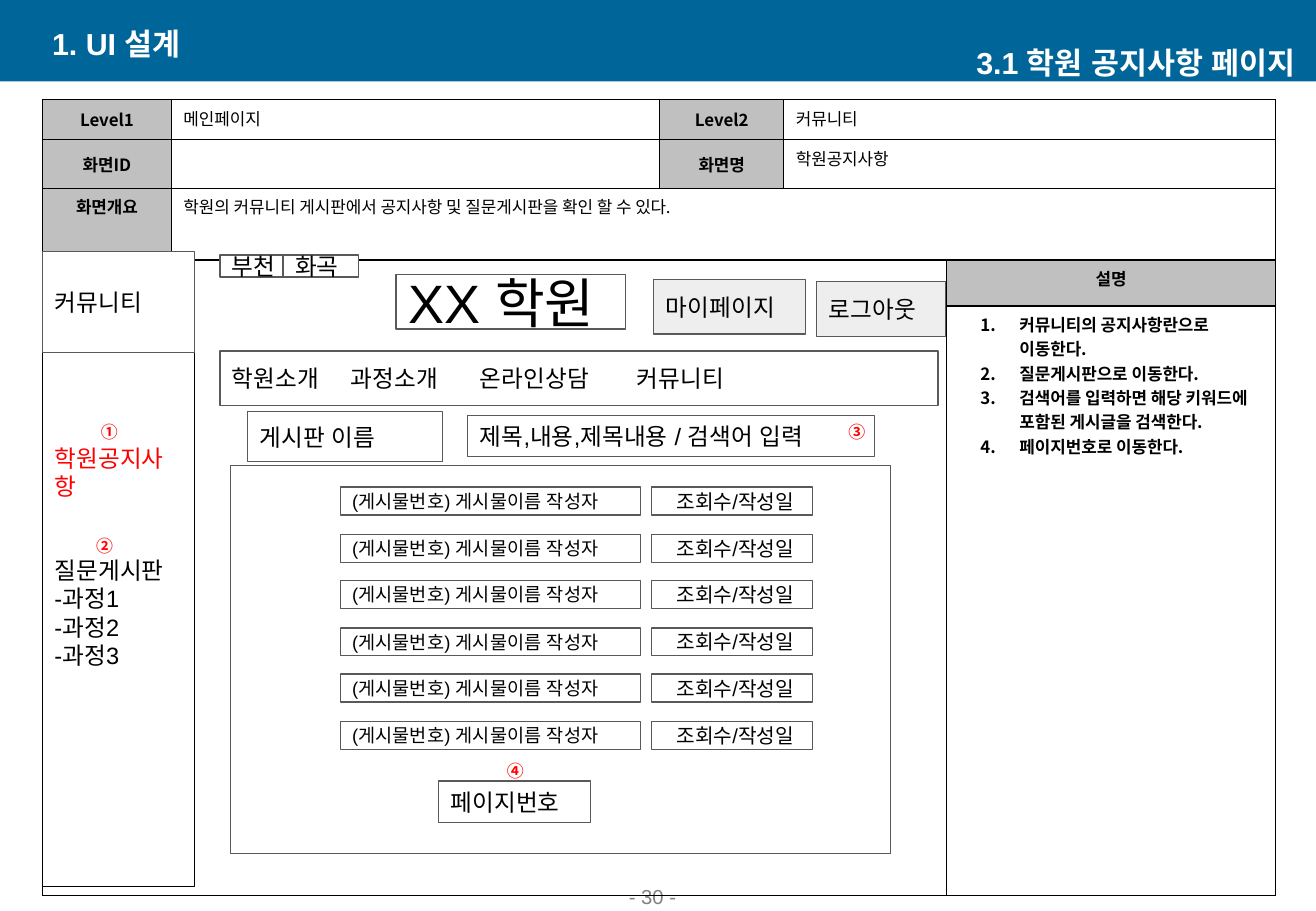
from lxml import etree
from pptx import Presentation
from pptx.dml.color import RGBColor
from pptx.enum.shapes import MSO_SHAPE
from pptx.enum.text import MSO_ANCHOR, PP_ALIGN
from pptx.oxml.ns import qn
from pptx.util import Emu, Pt

RECT = MSO_SHAPE.RECTANGLE
TOP, MIDDLE, BOTTOM = MSO_ANCHOR.TOP, MSO_ANCHOR.MIDDLE, MSO_ANCHOR.BOTTOM
LEFT, CENTER, RIGHT = PP_ALIGN.LEFT, PP_ALIGN.CENTER, PP_ALIGN.RIGHT
ARIAL, NOTO = "Arial", "Noto Sans CJK KR"
COLORS = {
    "bar": "006699", "white": "FFFFFF", "black": "000000", "red": "FF0000",
    "head": "C0C0C0", "button": "EEEEEE", "edge": "595959", "page": "808080",
}


def px(n):
    """100 px to the inch."""
    return Emu(n * 9144)


def rgb(name):
    return RGBColor.from_string(COLORS[name])


def write(tf, text, size=14, color="black", bold=False, font=ARIAL, align=LEFT):
    """Fill a text frame, one paragraph for each line of text."""
    tf.text = text
    for p in tf.paragraphs:
        p.alignment = align
        for r in p.runs:
            r.font.size, r.font.bold, r.font.name = Pt(size), bold, font
            r.font.color.rgb = rgb(color)
            etree.SubElement(r.font._element, qn("a:ea"), typeface=font)
    return tf


class Page:
    def __init__(self, slide):
        self.shapes = slide.shapes

    def frame(self, tf, insets, anchor):
        tf.word_wrap = True
        tf.vertical_anchor = anchor
        tf.margin_left, tf.margin_top, tf.margin_right, tf.margin_bottom = map(px, insets)

    def box(self, at, text="", fill="white", line="edge",
            insets=(10, 10, 10, 10), **fmt):
        s = self.shapes.add_shape(RECT, *map(px, at))
        s.shadow.inherit = False
        s.fill.solid()
        s.fill.fore_color.rgb = rgb(fill)
        if line:
            s.line.color.rgb = rgb(line)
            s.line.width = Pt(0.75)
        else:
            s.line.fill.background()
        self.frame(s.text_frame, insets, MIDDLE)
        return write(s.text_frame, text, **fmt)

    def label(self, at, text, anchor=MIDDLE, insets=(10, 5, 10, 5), **fmt):
        tf = self.shapes.add_textbox(*map(px, at)).text_frame
        self.frame(tf, insets, anchor)
        return write(tf, text, **fmt)

    def marker(self, at, text):
        self.label(at, text, TOP, size=10, color="red", bold=True,
                   font=NOTO, align=CENTER)

    def table(self, left, top, cols, rows):
        grid = self.shapes.add_table(len(rows), len(cols), px(left), px(top),
                                     px(sum(cols)), px(sum(rows))).table
        grid.first_row = grid.horz_banding = False
        for col, width in zip(grid.columns, cols):
            col.width = px(width)
        for row, height in zip(grid.rows, rows):
            row.height = px(height)
        for cell in grid.iter_cells():
            self.borders(cell)
            cell.fill.background()
        return grid

    def borders(self, cell):
        tc_pr = cell._tc.get_or_add_tcPr()
        for side in ("lnL", "lnR", "lnT", "lnB"):
            ln = etree.SubElement(tc_pr, qn(f"a:{side}"), w=str(Pt(1)))
            fill = etree.SubElement(ln, qn("a:solidFill"))
            etree.SubElement(fill, qn("a:srgbClr"), val=COLORS["black"])

    def cell(self, cell, text, head=False, anchor=TOP, bold=False):
        cell.vertical_anchor = anchor
        if head:
            cell.fill.solid()
            cell.fill.fore_color.rgb = rgb("head")
        return write(cell.text_frame, text, size=10, font=NOTO,
                     bold=head or bold, align=CENTER if head else LEFT)

    def numbered(self, tf, indent, hang):
        for p in tf.paragraphs:
            p_pr = p._p.get_or_add_pPr()
            p_pr.set("marL", str(px(indent)))
            p_pr.set("indent", str(px(-hang)))
            etree.SubElement(p_pr, qn("a:buAutoNum"), type="arabicPeriod")

    def tab_stops(self, tf, stops):
        tabs = etree.SubElement(tf.paragraphs[0]._p.get_or_add_pPr(), qn("a:tabLst"))
        for stop in stops:
            etree.SubElement(tabs, qn("a:tab"), pos=str(px(stop)), algn="l")


def main():
    prs = Presentation()
    prs.slide_width, prs.slide_height = px(1083), px(750)
    page = Page(prs.slides.add_slide(prs.slide_layouts[6]))

    # Title bar and page number
    title = dict(size=18, color="white", bold=True)
    page.box((0, 0, 1083, 67), fill="bar", line=None)
    page.label((424, 730, 226, 23), "- 30 -", BOTTOM, size=12, color="page", align=CENTER)
    page.label((33, 19, 438, 33), "1. UI 설계", **title)

    # Screen specification table
    grid = page.table(35, 82, (106, 402, 102, 134, 271), (33, 33, 59, 38, 485))
    for first, last in (((0, 3), (0, 4)), ((1, 3), (1, 4)),
                        ((2, 1), (2, 4)), ((3, 0), (4, 3))):
        grid.cell(*first).merge(grid.cell(*last))
    for row, col, text in ((0, 0, "Level1"), (0, 2, "Level2"),
                           (1, 0, "화면ID"), (1, 2, "화면명")):
        page.cell(grid.cell(row, col), text, head=True, anchor=MIDDLE)
    for row, col, text in ((2, 0, "화면개요"), (3, 4, "설명")):
        page.cell(grid.cell(row, col), text, head=True)
    for row, col, text in (
            (0, 1, "메인페이지"), (0, 3, "커뮤니티"), (1, 3, "학원공지사항"),
            (2, 1, "학원의 커뮤니티 게시판에서 공지사항 및 질문게시판을 확인 할 수 있다.")):
        page.cell(grid.cell(row, col), text)
    notes = page.cell(grid.cell(4, 4), "\n".join((
        "커뮤니티의 공지사항란으로 이동한다.", "질문게시판으로 이동한다.",
        "검색어를 입력하면 해당 키워드에 포함된 게시글을 검색한다.",
        "페이지번호로 이동한다.")), bold=True)
    page.numbered(notes, 50, 32)
    page.label((645, 35, 438, 33), "3.1 학원 공지사항 페이지",
               insets=(10, 5, 17, 5), align=RIGHT, **title)

    # Site header and side menu
    page.box((326, 226, 189, 45), "XX 학원", size=32)
    menu = page.box((35, 209, 125, 521), "학원공지사항\n질문게시판\n-과정1\n-과정2\n-과정3",
                    line="black", insets=(10, 10, 10, 33))
    menu.paragraphs[0].runs[0].font.color.rgb = rgb("red")
    menu.paragraphs[1].space_before = Pt(33)
    page.box((35, 207, 125, 83), "커뮤니티")
    page.box((538, 230, 125, 45), "마이페이지", fill="button")
    page.box((181, 210, 71, 18), "부천")
    page.box((233, 210, 62, 18), "화곡")

    # Notice board
    page.box((190, 383, 543, 320))
    page.box((672, 232, 106, 45), "로그아웃", fill="button")
    page.box((361, 643, 125, 34), "페이지번호")
    page.box((385, 342, 335, 34), "제목,내용,제목내용 / 검색어 입력")
    page.box((204, 339, 160, 41), "게시판 이름")
    for i in range(6):
        top = 401 + round(38.6 * i)
        page.box((280, top, 247, 23), "(게시물번호) 게시물이름 작성자", size=11)
        page.box((536, top, 133, 23), "조회수/작성일", size=12, align=CENTER,
                 insets=(15, 10, 10, 10))

    # Navigation bar
    nav = page.box((181, 289, 591, 45), "학원소개\t과정소개\t온라인상담\t커뮤니티")
    page.tab_stops(nav, (98, 204, 333))

    # Callout numbers
    page.marker((73, 342, 34, 27), "①")
    page.marker((69, 436, 34, 27), "②")
    page.marker((686, 342, 38, 33), "③")
    page.marker((407, 621, 34, 27), "④")

    prs.save("out.pptx")


if __name__ == "__main__":
    main()
